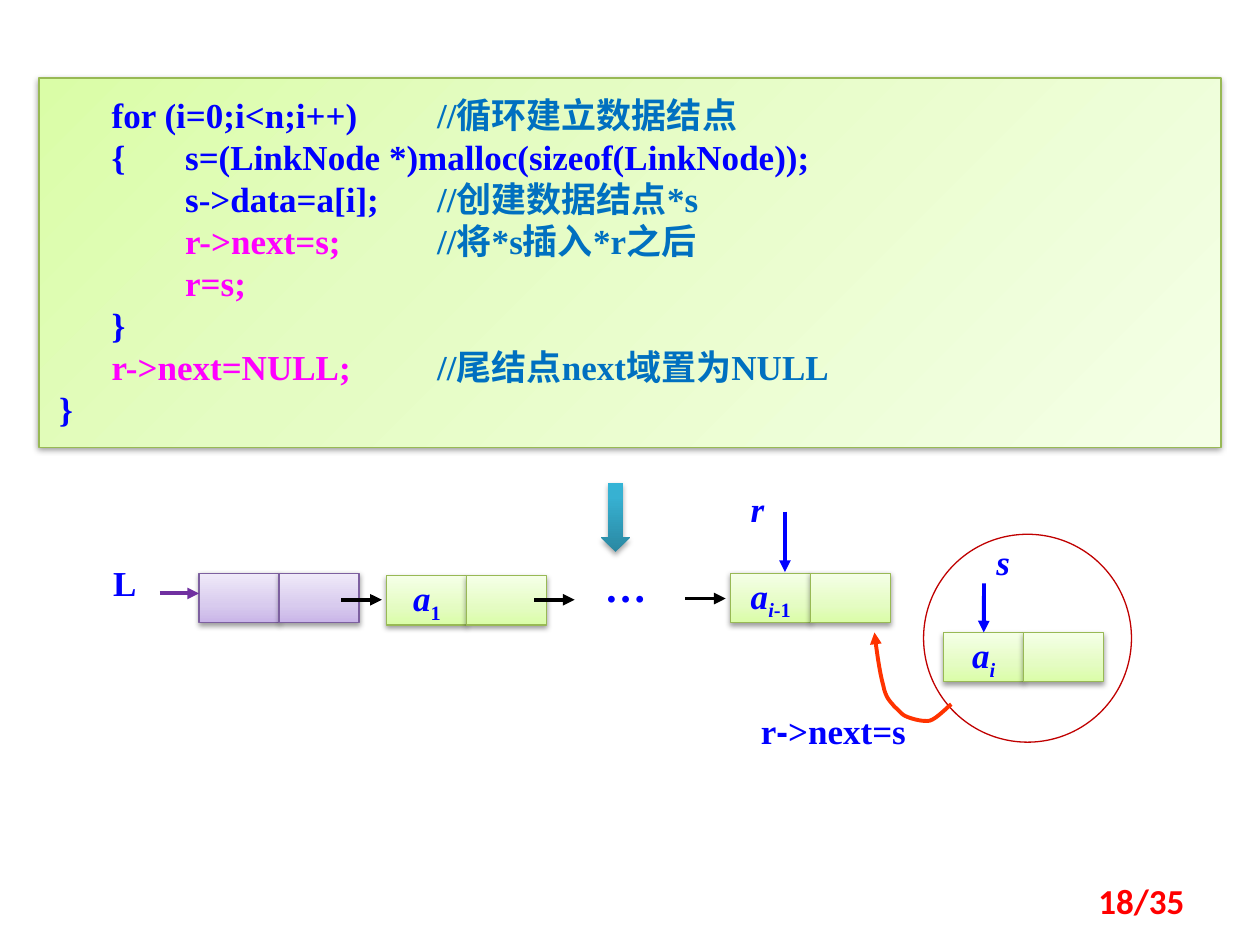
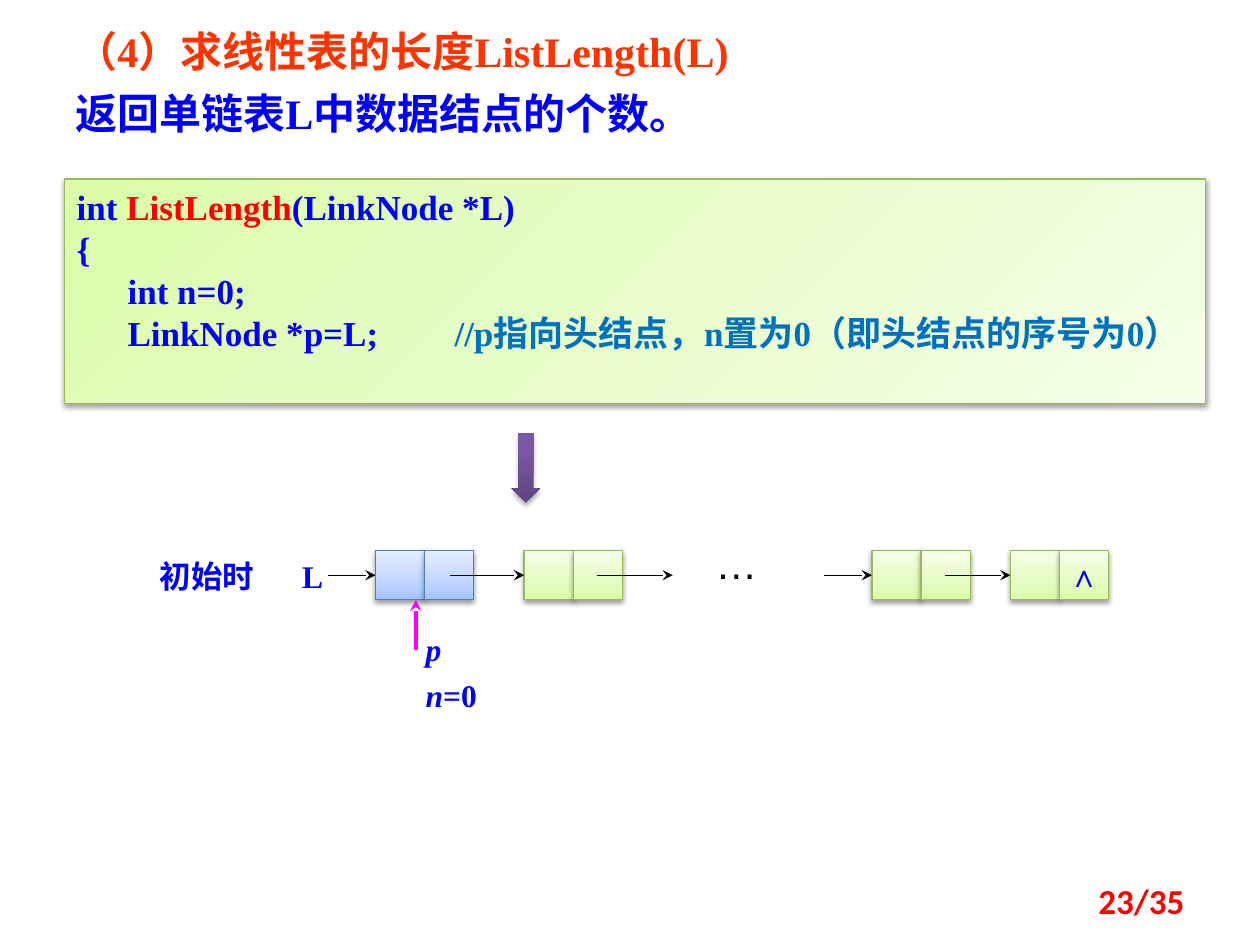
from collections import namedtuple

from lxml.etree import SubElement
from pptx import Presentation
from pptx.dml.color import RGBColor
from pptx.enum.shapes import MSO_CONNECTOR as Link, MSO_SHAPE as Preset
from pptx.enum.text import MSO_ANCHOR as Anchor, PP_ALIGN as Align
from pptx.oxml.ns import qn
from pptx.util import Inches, Pt

Box = namedtuple("Box", "left top width height")
Palette = namedtuple("Palette", "stops edge")

COLORS = {
    "code": "0000FF", "comment": "0070C0", "step": "FF00FF", "name": "FF0000",
    "title": "FF3300", "black": "000000", "violet": "7030A0", "ring": "C00000",
    "green_edge": "98B955", "purple_edge": "7D60A0", "blue_edge": "4B7EBC",
}
GREEN = Palette([(0, "DAFDA7"), (35, "E4FCC2"), (100, "F5FFE7")], "green_edge")
PURPLE = Palette([(0, "C9B5E8"), (35, "D8CBEE"), (100, "F0EAF9")], "purple_edge")
BLUE = Palette([(0, "A4C4FF"), (35, "BFD4FF"), (100, "E6EEFF")], "blue_edge")
TEAL_ARROW = Palette([(0, "2A88A2"), (80, "37B1D2"), (100, "34B4D6")], None)
PURPLE_ARROW = Palette([(0, "5F4480"), (80, "7B58A6"), (100, "7C57A8")], None)
SERIF = "Times New Roman"
UPWARD, DIAGONAL = 270, 45
CODE_TABS = (1, 3)
TOP_SIDE, LEFT_SIDE = 0, 1

comment = {"color": "comment"}
step = {"color": "step"}
upright = {"italic": False}
lowered = {"baseline": -25000}


def color(name):
    return RGBColor.from_string(COLORS[name])


def inner(box, left, top, width=0, height=0):
    return Box(box.left + left, box.top + top, width, height)


def lengths(box):
    return [Inches(value) for value in box]


def style_font(font, face=None, size=None, color_name=None, bold=None, italic=None):
    if face:
        font.name = face
    if size:
        font.size = Pt(size)
    if color_name:
        font.color.rgb = color(color_name)
    if bold is not None:
        font.bold = bold
    if italic is not None:
        font.italic = italic


def write(frame, lines, size=20, color_name="code", face=SERIF, bold=True, italic=None,
          align=Align.LEFT, spacing=None, before=None, tabs=()):
    for index, line in enumerate(lines):
        para = frame.paragraphs[0] if index == 0 else frame.add_paragraph()
        if tabs:
            tab_list = SubElement(para._p.get_or_add_pPr(), qn("a:tabLst"))
            for stop in tabs:
                SubElement(tab_list, qn("a:tab"), pos=str(Inches(stop)), algn="l")
        para.alignment = align
        if spacing:
            para.line_spacing = Pt(spacing)
        if before and index:
            para.space_before = Pt(before)
        style_font(para.font, face, size, color_name, bold, italic)
        for text, changes in line:
            span = para.add_run()
            span.text = text
            style_font(span.font, face=changes.get("face"),
                       color_name=changes.get("color"), italic=changes.get("italic"))
            if "baseline" in changes:
                span.font._element.set("baseline", str(changes["baseline"]))


def add_text(page, box, lines, anchor=Anchor.TOP, **style):
    frame = page.shapes.add_textbox(*lengths(box)).text_frame
    frame.word_wrap = True
    frame.vertical_anchor = anchor
    write(frame, lines, **style)


def add_label(page, box, text, **style):
    add_text(page, box, [[(text, {})]], **style)


def paint(shape, palette, angle, shade=38, drop=1.6):
    shape.fill.gradient()
    gradient = shape.element.spPr.find(qn("a:gradFill"))
    stops = gradient.find(qn("a:gsLst"))
    for stop in list(stops):
        stops.remove(stop)
    for position, value in palette.stops:
        stop = SubElement(stops, qn("a:gs"), pos=str(position * 1000))
        SubElement(stop, qn("a:srgbClr"), val=value)
    gradient.find(qn("a:lin")).set("ang", str(angle * 60000))
    if palette.edge:
        shape.line.color.rgb = color(palette.edge)
        shape.line.width = Pt(0.75)
    else:
        shape.line.fill.background()
    shape.shadow.inherit = False
    effects = shape.element.spPr.find(qn("a:effectLst"))
    shadow = SubElement(effects, qn("a:outerShdw"), blurRad=str(Pt(3.1)), dist=str(Pt(drop)),
                        dir=str(90 * 60000), rotWithShape="0")
    tone = SubElement(shadow, qn("a:srgbClr"), val=COLORS["black"])
    SubElement(tone, qn("a:alpha"), val=str(shade * 1000))


def add_head(line, color_name, width, head):
    line.color.rgb = color(color_name)
    line.width = Pt(width)
    SubElement(line._get_or_add_ln(), qn("a:tailEnd"), type=head)


def add_arrow(page, box, start, end, color_name="black", width=2.25, head="triangle",
              target=None, side=LEFT_SIDE):
    points = [Inches(value) for x, y in (start, end)
              for value in (box.left + x, box.top + y)]
    arrow = page.shapes.add_connector(Link.STRAIGHT, *points)
    if target is not None:
        arrow.end_connect(target, side)
    add_head(arrow.line, color_name, width, head)
    SubElement(arrow.element.spPr, qn("a:effectLst"))


def add_down_arrow(page, box, palette):
    arrow = page.shapes.add_shape(Preset.DOWN_ARROW, *lengths(box))
    paint(arrow, palette, UPWARD, shade=35, drop=1.8)


def add_node(page, box, palette=GREEN, texts=((), ()), **style):
    cells = []
    width = box.width / 2
    for index, spans in enumerate(texts):
        cell_box = inner(box, index * width, 0, width, box.height)
        cell = page.shapes.add_shape(Preset.RECTANGLE, *lengths(cell_box))
        paint(cell, palette, UPWARD)
        if spans:
            cell.text_frame.word_wrap = False
            cell.text_frame.vertical_anchor = Anchor.MIDDLE
            write(cell.text_frame, [spans], align=Align.CENTER, **style)
        cells.append(cell)
    return cells


def add_code(page, box, lines, side_inset=0.1, top_inset=0.05):
    panel = page.shapes.add_shape(Preset.RECTANGLE, *lengths(box))
    paint(panel, GREEN, DIAGONAL)
    frame = panel.text_frame
    frame.word_wrap = True
    frame.vertical_anchor = Anchor.TOP
    frame.margin_left = frame.margin_right = Inches(side_inset)
    frame.margin_top = frame.margin_bottom = Inches(top_inset)
    write(frame, lines, spacing=24, tabs=CODE_TABS)


def add_page_number(page, number):
    add_label(page, Box(7.17, 6.95, 2.33, 0.4), f"{number}/35", anchor=Anchor.MIDDLE,
              face="Calibri", color_name="name", align=Align.RIGHT)


def bezier(start, first, second, end, steps=8):
    for index in range(1, steps + 1):
        t = index / steps
        weights = ((1 - t) ** 3, 3 * t * (1 - t) ** 2, 3 * t * t * (1 - t), t ** 3)
        yield tuple(sum(w * p[axis] for w, p in zip(weights, (start, first, second, end)))
                    for axis in (0, 1))


def add_curve(page, box, points):
    placed = [(Inches(box.left + x), Inches(box.top + y)) for x, y in points]
    builder = page.shapes.build_freeform(*placed[0])
    for first in range(0, len(placed) - 1, 3):
        builder.add_line_segments(bezier(*placed[first:first + 4]), close=False)
    curve = builder.convert_to_shape()
    curve.fill.background()
    curve.shadow.inherit = False
    add_head(curve.line, "title", 2.25, "triangle")


def draw_insertion(page, box):
    node_width, node_height = 1.27, 0.39
    add_down_arrow(page, inner(box, 3.97, 0.01, 0.23, 0.55), TEAL_ARROW)
    ring = page.shapes.add_shape(Preset.OVAL, *lengths(inner(box, 6.53, 0.42, 1.65, 1.65)))
    ring.fill.background()
    ring.line.color.rgb = color("ring")
    ring.line.width = Pt(0.75)
    ring.shadow.inherit = False

    def node(left, top, data=(), palette=GREEN):
        return add_node(page, inner(box, left, top, node_width, node_height), palette,
                        (data, ()), italic=True)

    node(0.78, 0.73, palette=PURPLE)
    node(2.27, 0.75, [("a", {}), ("1", upright | lowered)])
    node(5, 0.73, [("a", {}), ("i", lowered), ("-1", upright | lowered)])
    new_cell, _ = node(6.69, 1.2, [("a", {}), ("i", lowered)])

    add_arrow(page, box, (0.47, 0.89), (0.78, 0.89), "violet")
    for left, top in ((1.91, 0.94), (3.44, 0.94), (4.64, 0.93)):
        add_arrow(page, box, (left, top), (left + 0.32, top))
    add_arrow(page, box, (5.43, 0.24), (5.43, 0.72), "code")
    add_arrow(page, box, (7.01, 0.81), (7.01, 1.2), "code", target=new_cell, side=TOP_SIDE)

    add_label(page, inner(box, 0, 0.59, 0.55, 0.43), "L")
    add_label(page, inner(box, 5.06, 0, 0.63, 0.43), "r", italic=True)
    add_label(page, inner(box, 7.01, 0.42, 0.63, 0.43), "s", italic=True)
    add_label(page, inner(box, 3.9, 0.58, 0.55, 0.5), "…", size=24)
    add_curve(page, box, [
        (6.75, 1.77), (6.72, 1.79), (6.64, 1.88), (6.58, 1.9), (6.53, 1.91),
        (6.45, 1.89), (6.4, 1.87), (6.35, 1.85), (6.35, 1.83), (6.3, 1.79),
        (6.26, 1.74), (6.23, 1.72), (6.21, 1.62), (6.18, 1.52), (6.15, 1.29), (6.14, 1.2)])
    add_text(page, inner(box, 5.14, 1.76, 1.41, 0.44),
             [[("r", {}), ("-", {"face": "Arial"}), (">next=s", {})]])


def draw_initial_list(page, box):
    cell, top = 0.39, 0.93
    middle = top + cell / 2
    thin = {"width": 0.75, "head": "stealth"}
    add_label(page, inner(box, 0, top, 1.1, 0.4), "初始时", size=18)
    add_label(page, inner(box, 1.13, top, 0.4, 0.4), "L", size=18)

    arrow_starts = (1.43, 2.4, 5.37, 6.33)
    node_lefts = (1.81, 2.99, 5.75, 6.85)
    for start, left in zip(arrow_starts, node_lefts):
        palette = BLUE if left == node_lefts[0] else GREEN
        pointer = [("∧", {})] if left == node_lefts[-1] else ()
        data_cell, _ = add_node(page, inner(box, left, top, 2 * cell, cell), palette,
                                ((), pointer), size=18)
        add_arrow(page, box, (start, middle), (left, middle), target=data_cell, **thin)
    add_arrow(page, box, (3.57, middle), (4.17, middle), **thin)
    add_label(page, inner(box, 4.41, 0.78, 0.79, 0.5), "…", size=24, face="Arial",
              color_name="black", bold=False)

    add_text(page, inner(box, 2.11, 1.56, 0.92, 0.76),
             [[("p", {})], [("n", {}), ("=0", upright)]],
             size=18, italic=True, spacing=18, before=8.5)
    add_arrow(page, box, (2.13, 1.72), (2.13, top + cell), "step", head="stealth")
    add_down_arrow(page, inner(box, 2.89, 0, 0.23, 0.55), PURPLE_ARROW)


def build_insertion_page(page):
    add_code(page, Box(0.31, 0.62, 9.38, 2.93), [
        [("      for (i=0;i<n;i++)\t", {}), ("//循环建立数据结点", comment)],
        [("      {\ts=(LinkNode *)malloc(sizeof(LinkNode));", {})],
        [("\ts->data=a[i];\t", {}), ("//创建数据结点*s", comment)],
        [("\tr->next=s;\t", step), ("//将*s插入*r之后", comment)],
        [("\tr=s;", step)],
        [("      }", {})],
        [("      r->next=NULL;\t", step), ("//尾结点next域置为NULL", comment)],
        [("}", {})],
    ], side_inset=0.16, top_inset=0.12)
    draw_insertion(page, Box(0.8, 3.82, 8.18, 2.2))
    add_page_number(page, 18)


def build_length_page(page):
    add_text(page, Box(0.5, 0.25, 8.2, 0.95), [
        [("（4）求线性表的长度ListLength(L)", {"color": "title"})],
        [("返回单链表L中数据结点的个数。", {})],
    ], size=24, align=Align.JUSTIFY, spacing=22, before=13.4)
    add_code(page, Box(0.51, 1.42, 9.06, 1.78), [
        [("int ", {}), ("ListLength", {"color": "name"}), ("(LinkNode *L)", {})],
        [("{", {})],
        [("  　int n=0;", {})],
        [("　  LinkNode *p=L;\t", {}),
         ("//p指向头结点，n置为0（即头结点的序号为0）", comment)],
    ])
    draw_initial_list(page, Box(1.17, 3.44, 7.63, 2.32))
    add_page_number(page, 23)


def main():
    deck = Presentation()
    deck.slide_width, deck.slide_height = Inches(10), Inches(7.5)
    for build in (build_insertion_page, build_length_page):
        build(deck.slides.add_slide(deck.slide_layouts[6]))
    deck.save("out.pptx")


if __name__ == "__main__":
    main()
